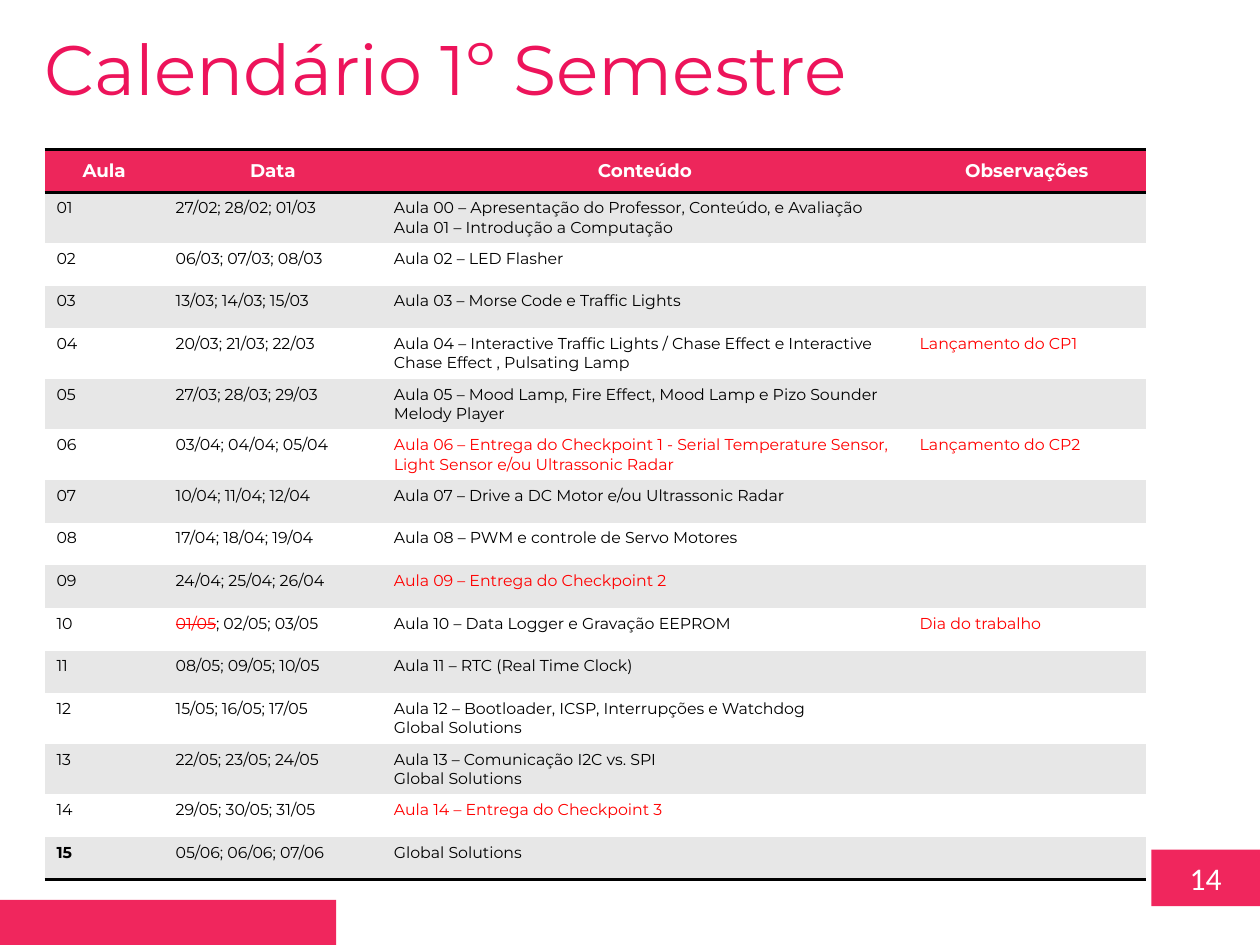
"""Build the first-semester class calendar slide."""
from dataclasses import dataclass

from lxml import etree
from pptx import Presentation
from pptx.dml.color import RGBColor
from pptx.enum.shapes import MSO_SHAPE
from pptx.enum.text import MSO_ANCHOR, PP_ALIGN
from pptx.oxml.ns import qn
from pptx.util import Cm, Pt

RECT = MSO_SHAPE.RECTANGLE
TOP, MIDDLE = MSO_ANCHOR.TOP, MSO_ANCHOR.MIDDLE
LEFT, CENTER = PP_ALIGN.LEFT, PP_ALIGN.CENTER
FONT = "Montserrat"
PINK, HEAD, ROSE = "F0265D", "ED265B", "ED145B"
WHITE, GREY, BLACK, RED = "FFFFFF", "E7E7E7", "000000", "FF0000"
NO_STYLE = "{2D5ABB26-0587-4C30-8999-92F81FD0307C}"
WIDTHS = (2.4, 4.4, 10.6, 4.8)
HEADS = ("Aula", "Data", "Conteúdo", "Observações")
INSETS = {"margin_left": Cm(0.24), "margin_right": Cm(0.24),
          "margin_top": Cm(0.12), "margin_bottom": Cm(0.12)}


@dataclass
class Lesson:
    """One class: dates, topic lines, note, and special formats."""
    dates: str
    topics: tuple[str, ...]
    note: str = ""
    due: bool = False
    struck: str = ""


@dataclass
class Bar:
    """A plain pink block, perhaps with a label."""
    left: float
    top: float
    width: float
    height: float
    label: str = ""


LESSONS = (
    Lesson("27/02; 28/02; 01/03",
           ("Aula 00 – Apresentação do Professor, Conteúdo, e Avaliação",
            "Aula 01 – Introdução a Computação")),
    Lesson("06/03; 07/03; 08/03", ("Aula 02 – LED Flasher",)),
    Lesson("13/03; 14/03; 15/03", ("Aula 03 – Morse Code e Traffic Lights",)),
    Lesson("20/03; 21/03; 22/03",
           ("Aula 04 – Interactive Traffic Lights / Chase Effect e "
            "Interactive Chase Effect , Pulsating Lamp",), "Lançamento do CP1"),
    Lesson("27/03; 28/03; 29/03",
           ("Aula 05 – Mood Lamp, Fire Effect, Mood Lamp e Pizo Sounder "
            "Melody Player",)),
    Lesson("03/04; 04/04; 05/04",
           ("Aula 06 – Entrega do Checkpoint 1 - Serial Temperature Sensor, "
            "Light Sensor e/ou Ultrassonic Radar",), "Lançamento do CP2", True),
    Lesson("10/04; 11/04; 12/04",
           ("Aula 07 – Drive a DC Motor e/ou Ultrassonic Radar",)),
    Lesson("17/04; 18/04; 19/04",
           ("Aula 08 – PWM e controle de Servo Motores",)),
    Lesson("24/04; 25/04; 26/04",
           ("Aula 09 – Entrega do Checkpoint 2",), due=True),
    Lesson("; 02/05; 03/05", ("Aula 10 – Data Logger e Gravação EEPROM",),
           "Dia do trabalho", struck="01/05"),
    Lesson("08/05; 09/05; 10/05", ("Aula 11 – RTC (Real Time Clock)",)),
    Lesson("15/05; 16/05; 17/05",
           ("Aula 12 – Bootloader, ICSP, Interrupções e Watchdog",
            "Global Solutions")),
    Lesson("22/05; 23/05; 24/05",
           ("Aula 13 – Comunicação I2C vs. SPI", "Global Solutions")),
    Lesson("29/05; 30/05; 31/05",
           ("Aula 14 – Entrega do Checkpoint 3",), due=True),
    Lesson("05/06; 06/06; 07/06", ("Global Solutions",)),
)
BARS = (Bar(23.21, 17.13, 2.19, 1.14, "14"), Bar(0, 18.14, 6.78, 0.91))


def paint(item, color: str) -> None:
    """Give a fill a solid hex colour."""
    item.solid()
    item.fore_color.rgb = RGBColor.from_string(color)


def write(para, text: str, size: float, color: str, bold=False, font=FONT):
    """Add a formatted run to a paragraph and return it."""
    run = para.add_run()
    run.text = text
    for name, value in {"name": font, "size": Pt(size), "bold": bold}.items():
        setattr(run.font, name, value)
    run.font.color.rgb = RGBColor.from_string(color)
    return run


def rule(cell, side: str) -> None:
    """Draw a two-point black border on one side of a cell."""
    line = etree.SubElement(cell._tc.get_or_add_tcPr(), qn(f"a:{side}"), w=str(Pt(2)))
    fill = etree.SubElement(line, qn("a:solidFill"))
    etree.SubElement(fill, qn("a:srgbClr"), val=BLACK)


def dress(cell, color: str, sides: tuple[str, ...] = ()) -> None:
    """Set the margins, borders and fill of a cell."""
    for name, value in INSETS.items():
        setattr(cell, name, value)
    for side in sides:
        rule(cell, side)
    paint(cell.fill, color)


def fill_cell(cell, lines: tuple[str, ...], color: str, bold=False) -> None:
    """Write body lines in a cell, one paragraph each."""
    frame = cell.text_frame
    for i, line in enumerate(lines):
        para = frame.add_paragraph() if i else frame.paragraphs[0]
        if line:
            write(para, line, 9, color, bold)
        else:
            para._p.get_or_add_endParaRPr().set("sz", "900")


def draw_table(slide) -> None:
    """Draw the calendar table."""
    count = len(LESSONS)
    high = 0.86
    frame = slide.shapes.add_table(count + 1, len(HEADS), Cm(0.9), Cm(3.02),
                                   Cm(sum(WIDTHS)), Cm(high * (count + 1)))
    table = frame.table
    table.first_row = table.horz_banding = False
    table._tbl.tblPr.find(qn("a:tableStyleId")).text = NO_STYLE
    for row in table.rows:
        row.height = Cm(high)
    for col, (width, head) in enumerate(zip(WIDTHS, HEADS)):
        table.columns[col].width = Cm(width)
        cell = table.cell(0, col)
        dress(cell, HEAD, ("lnT", "lnB"))
        cell.vertical_anchor = MIDDLE
        para = cell.text_frame.paragraphs[0]
        para.alignment = CENTER
        write(para, head, 10.5, WHITE, True)
    for num, item in enumerate(LESSONS, 1):
        last = num == count
        cells = [table.cell(num, col) for col in range(len(HEADS))]
        for cell in cells:
            dress(cell, GREY if num % 2 else WHITE, ("lnB",) if last else ())
        if item.struck:
            run = write(cells[1].text_frame.paragraphs[0], item.struck, 9, RED)
            run.font._element.set("strike", "sngStrike")
        fill_cell(cells[0], (f"{num:02}",), BLACK, last)
        fill_cell(cells[1], (item.dates,), BLACK)
        fill_cell(cells[2], item.topics, RED if item.due else BLACK)
        fill_cell(cells[3], (item.note,), RED)


def draw_bar(slide, bar: Bar) -> None:
    """Draw a pink block and its label."""
    shape = slide.shapes.add_shape(RECT, Cm(bar.left), Cm(bar.top),
                                   Cm(bar.width), Cm(bar.height))
    shape.shadow.inherit = False
    paint(shape.fill, PINK)
    shape.line.fill.background()
    if bar.label:
        shape.text_frame.vertical_anchor = MIDDLE
        para = shape.text_frame.paragraphs[0]
        para.alignment = CENTER
        write(para, bar.label, 18, WHITE, font="Calibri")


def draw_title(slide) -> None:
    """Place and format the slide title."""
    title = slide.shapes.title
    place = {"left": Cm(0.64), "top": Cm(0.38), "width": Cm(17.58), "height": Cm(1.96)}
    for name, value in place.items():
        setattr(title, name, value)
    title.text_frame.vertical_anchor = TOP
    para = title.text_frame.paragraphs[0]
    para.alignment = LEFT
    write(para, "Calendário 1º Semestre", 40, ROSE)


def main() -> None:
    """Build and save the slide."""
    deck = Presentation()
    deck.slide_width, deck.slide_height = Cm(25.4), Cm(19.05)
    slide = deck.slides.add_slide(deck.slide_layouts[5])
    for bar in BARS:
        draw_bar(slide, bar)
    draw_title(slide)
    draw_table(slide)
    deck.save("out.pptx")


if __name__ == "__main__":
    main()
